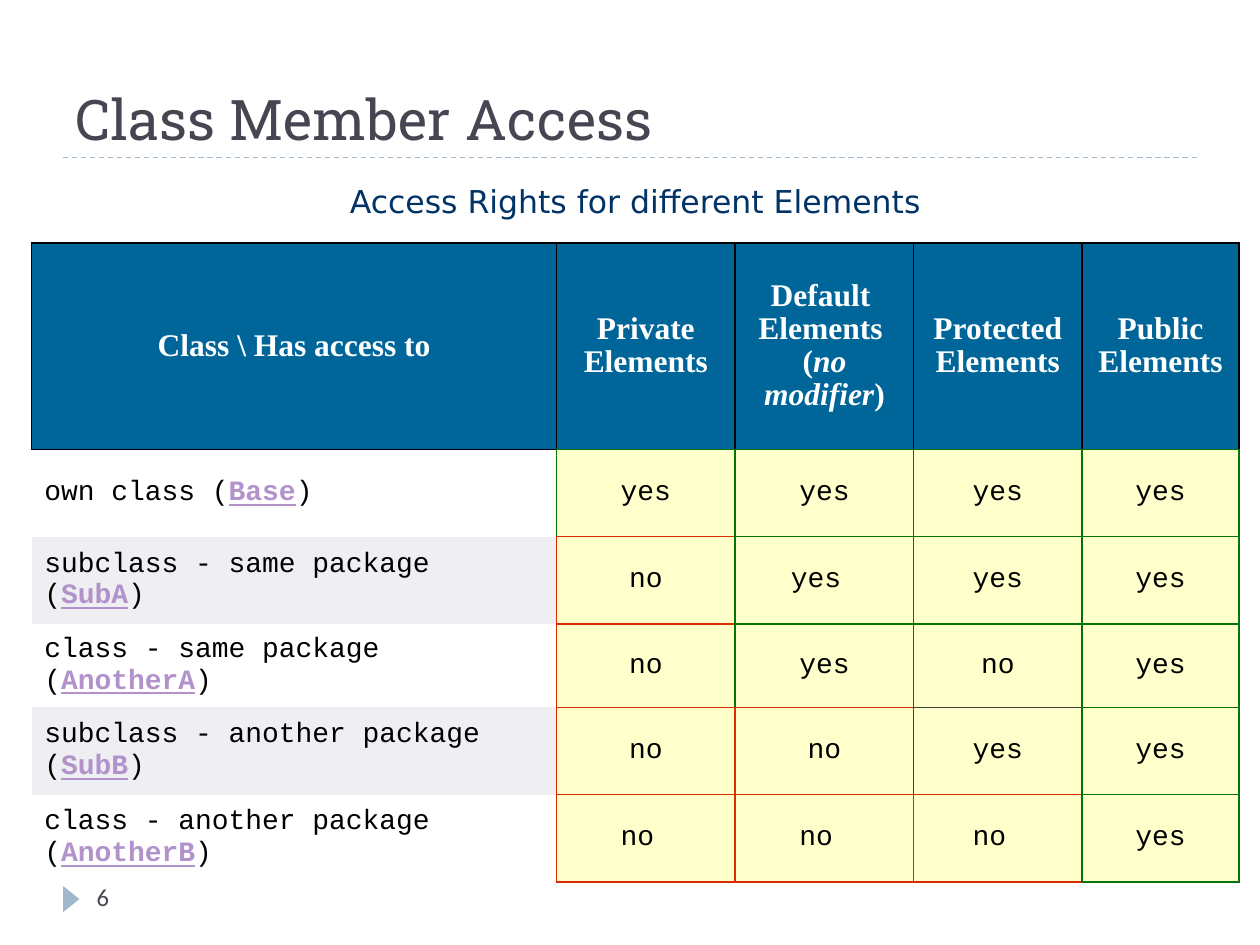
from lxml import etree
from pptx import Presentation
from pptx.dml.color import RGBColor
from pptx.enum.dml import MSO_LINE
from pptx.enum.shapes import MSO_CONNECTOR, MSO_SHAPE
from pptx.enum.text import MSO_ANCHOR, PP_ALIGN
from pptx.oxml.ns import qn
from pptx.util import Cm, Pt

LEFT, CENTER = PP_ALIGN.LEFT, PP_ALIGN.CENTER
MIDDLE, BOTTOM = MSO_ANCHOR.MIDDLE, MSO_ANCHOR.BOTTOM

# Content; border codes give left, top, right, bottom (see THEME["borders"])
TITLE = "Class Member Access"
PAGE = "6"
CAPTION = "Access Rights for different Elements"
# Header cells: (text before, italic text, text after), border code
HEADERS = [
    (("Class \\ Has access to", "", ""), "KKKK"),
    (("Private Elements", "", ""), "KKKG"),
    (("Default \vElements \v(", "no modifier", ")"), "KKKG"),
    (("Protected\vElements", "", ""), "KKKG"),
    (("Public Elements", "", ""), "KKKG"),
]
# Rows: description, class name, border code, then (answer, border code)
ROWS = [
    ("own class", "Base", "-KG-",
     [("yes", "GGGR"), ("yes", "GGGG"), ("yes", "GGGG"), ("yes", "GGGG")]),
    ("subclass - same package", "SubA", "--R-",
     [("no", "RRGR"), ("yes ", "GGGG"), ("yes", "GGGG"), ("yes", "GGGG")]),
    ("class - same package", "AnotherA", "--R-",
     [("no", "RRGR"), ("yes", "GGGR"), ("no", "GGGD"), ("yes", "GGGG")]),
    ("subclass - another package", "SubB", "--R-",
     [("no", "RRRR"), ("no", "RRDR"), ("yes", "DDGR"), ("yes", "GGGG")]),
    ("class - another package", "AnotherB", "--R-",
     [("no ", "RRRR"), ("no ", "RRRR"), ("no ", "RRGR"), ("yes", "GGGG")]),
]
COL_WIDTHS = [10.58, 3.6, 3.6, 3.39, 3.17]
ROW_HEIGHTS = [1.65, 4.16, 1.76, 1.76, 1.68, 1.76, 1.76]

THEME = {
    "title": ("Roboto Slab", 32, "464653"),
    "page": ("Calibri", 14, "464653"),
    "caption": ("DejaVu Sans", 18, "003366"),
    "header": ("Times New Roman", 18, "FFFFFF"),
    "body": ("Courier New", 16, "000000"),
    "link": "B292CA",
    "accent": "9FB8CD",
    "header_fill": "006699",
    "answer_fill": "FFFFCC",
    "bands": ("FFFFFF", "EEEEF3"),
    "borders": {"K": "000000", "G": "037507", "R": "DB2B00", "D": "404040"},
}


def rgb(value):
    return RGBColor.from_string(value)


def style(p, role, align=LEFT):
    p.font.name, size, color = THEME[role]
    p.font.size = Pt(size)
    p.font.color.rgb = rgb(color)
    p.alignment = align


def add_run(p, text):
    r = p.add_run()
    r.text = text
    return r


def format_cell(cell, fill, borders):
    cell.vertical_anchor = MIDDLE
    tc_pr = cell._tc.get_or_add_tcPr()
    for side, code in zip("LTRB", borders):
        ln = etree.SubElement(tc_pr, qn(f"a:ln{side}"), w=str(Pt(1)))
        if code == "-":
            etree.SubElement(ln, qn("a:noFill"))
        else:
            solid = etree.SubElement(ln, qn("a:solidFill"))
            etree.SubElement(solid, qn("a:srgbClr"), val=THEME["borders"][code])
    cell.fill.solid()
    cell.fill.fore_color.rgb = rgb(fill)


prs = Presentation()
prs.slide_width, prs.slide_height = Cm(25.4), Cm(19.05)
s = prs.slides.add_slide(prs.slide_layouts[5])

# Title and the dashed rule below it
title = s.shapes.title
title.left, title.top, title.width, title.height = Cm(1.27), Cm(0.43), Cm(22.86), Cm(2.75)
title.text_frame.text = TITLE
title.text_frame.vertical_anchor = BOTTOM
style(title.text_frame.paragraphs[0], "title")

rule = s.shapes.add_connector(MSO_CONNECTOR.STRAIGHT, Cm(1.27), Cm(3.18), Cm(24.13), Cm(3.18))
rule.line.color.rgb = rgb(THEME["accent"])
rule.line.width = Pt(0.75)
rule.line.dash_style = MSO_LINE.DASH
etree.SubElement(rule._element.spPr, qn("a:effectLst"))

# Page marker and number
marker = s.shapes.add_shape(MSO_SHAPE.ISOSCELES_TRIANGLE, Cm(1.17), Cm(17.96), Cm(0.53), Cm(0.33))
marker.rotation = 90
marker.shadow.inherit = False
marker.fill.solid()
marker.fill.fore_color.rgb = rgb(THEME["accent"])
marker.line.fill.background()

page = s.shapes.add_textbox(Cm(1.7), Cm(17.65), Cm(5.51), Cm(1.02))
page.text_frame.word_wrap = True
page.text_frame.text = PAGE
style(page.text_frame.paragraphs[0], "page")

# Table grid
table = s.shapes.add_table(len(ROW_HEIGHTS), len(COL_WIDTHS), Cm(0.64), Cm(3.25),
                           Cm(sum(COL_WIDTHS)), Cm(sum(ROW_HEIGHTS))).table
table.first_row = table.horz_banding = False
for column, width in zip(table.columns, COL_WIDTHS):
    column.width = Cm(width)
for row, height in zip(table.rows, ROW_HEIGHTS):
    row.height = Cm(height)

# Caption row
for cell in table.rows[0].cells:
    format_cell(cell, THEME["bands"][0], "---K")
caption = table.cell(0, 0)
caption.merge(table.cell(0, len(COL_WIDTHS) - 1))
caption.text = CAPTION
style(caption.text_frame.paragraphs[0], "caption", CENTER)

# Header row
for col, ((before, italic, after), borders) in enumerate(HEADERS):
    cell = table.cell(1, col)
    format_cell(cell, THEME["header_fill"], borders)
    cell.text = before
    p = cell.text_frame.paragraphs[0]
    if italic:
        add_run(p, italic).font.italic = True
        add_run(p, after)
    style(p, "header", CENTER)
    p.font.bold = True
    p.line_spacing = 0.95
    for r in p.runs:
        r.font.bold = True

# Access rows
for i, (description, name, borders, answers) in enumerate(ROWS):
    cell = table.cell(i + 2, 0)
    format_cell(cell, THEME["bands"][i % 2], borders)
    p = cell.text_frame.paragraphs[0]
    style(p, "body")
    add_run(p, f"{description} (")
    link = add_run(p, name)
    link.font.bold = link.font.underline = True
    link.font.color.rgb = rgb(THEME["link"])
    add_run(p, ")")
    for col, (answer, borders) in enumerate(answers, 1):
        cell = table.cell(i + 2, col)
        format_cell(cell, THEME["answer_fill"], borders)
        cell.text = answer
        style(cell.text_frame.paragraphs[0], "body", CENTER)

prs.save("out.pptx")
